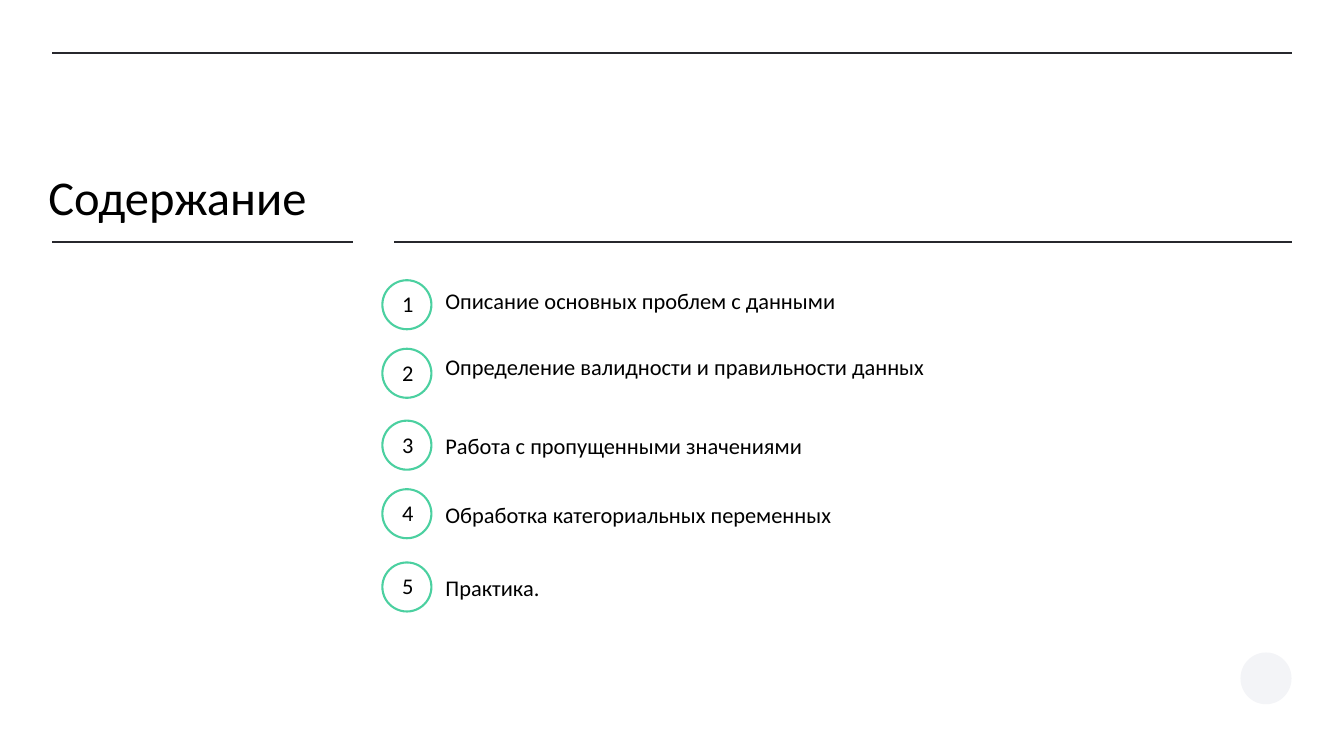
from dataclasses import dataclass

from lxml import etree
from pptx import Presentation
from pptx.dml.color import RGBColor
from pptx.enum.shapes import MSO_CONNECTOR, MSO_SHAPE
from pptx.enum.text import MSO_ANCHOR, PP_ALIGN
from pptx.oxml.ns import qn
from pptx.slide import Slide
from pptx.util import Inches, Pt

STRAIGHT = MSO_CONNECTOR.STRAIGHT
OVAL = MSO_SHAPE.OVAL
TOP, BOTTOM = MSO_ANCHOR.TOP, MSO_ANCHOR.BOTTOM
LEFT, CENTER = PP_ALIGN.LEFT, PP_ALIGN.CENTER

BLACK = RGBColor(0x00, 0x00, 0x00)
RULE = RGBColor(0x27, 0x28, 0x2D)
GREEN = RGBColor(0x4B, 0xD0, 0xA0)
PALE = RGBColor(0xF3, 0xF4, 0xF7)

FONT = "Calibri"
WIDTH, HEIGHT = Inches(20), Inches(11.25)
COL, ROW = WIDTH / 200, HEIGHT / 112.5
MARGIN_LEFT, MARGIN_RIGHT = 7.8, 192.2
RING_LEFT, RING_SIZE = 56.9, 7.3
ITEM_LEFT, ITEM_WIDTH = 65.3, 86.9


@dataclass(frozen=True)
class Box:
    col: float
    row: float
    cols: float
    rows: float

    def emu(self) -> tuple[int, int, int, int]:
        return (round(self.col * COL), round(self.row * ROW),
                round(self.cols * COL), round(self.rows * ROW))


@dataclass(frozen=True)
class Rule:
    start: float
    end: float
    row: float


@dataclass(frozen=True)
class Item:
    text: str
    ring_row: float
    text_row: float
    text_rows: float


RULES = [
    Rule(MARGIN_LEFT, MARGIN_RIGHT, 7.9),
    Rule(MARGIN_LEFT, 52.5, 36),
    Rule(58.7, MARGIN_RIGHT, 36),
]
ITEMS = [
    Item("Описание основных проблем с данными", 41.7, 41.7, 7.3),
    Item("Определение валидности и правильности данных", 51.9, 51.6, 7.3),
    Item("Работа с пропущенными значениями", 62.6, 63.3, 5.8),
    Item("Обработка категориальных переменных", 72.8, 73.5, 5.8),
    Item("Практика.", 83.7, 84.5, 5.8),
]


def add_rule(s: Slide, rule: Rule) -> None:
    y = round(rule.row * ROW)
    line = s.shapes.add_connector(
        STRAIGHT, round(rule.start * COL), y, round(rule.end * COL), y)
    line.line.color.rgb = RULE
    line.line.width = Pt(1.5)
    etree.SubElement(line._element.spPr, qn("a:effectLst"))


def add_text(s: Slide, box: Box, text: str, size: float = 24,
             align: PP_ALIGN = LEFT, anchor: MSO_ANCHOR = TOP,
             spacing: float = 1.0) -> None:
    tf = s.shapes.add_textbox(*box.emu()).text_frame
    tf.word_wrap = True
    tf.vertical_anchor = anchor
    tf.margin_left = tf.margin_right = Inches(0.1)
    tf.margin_top = tf.margin_bottom = Inches(0.1)
    p = tf.paragraphs[0]
    p.alignment = align
    p.line_spacing = spacing
    r = p.add_run()
    r.text = text
    r.font.name = FONT
    r.font.size = Pt(size)
    r.font.color.rgb = BLACK


def add_ring(s: Slide, row: float) -> None:
    sp = s.shapes.add_shape(OVAL, *Box(RING_LEFT, row, RING_SIZE, RING_SIZE).emu())
    sp.shadow.inherit = False
    sp.fill.background()
    sp.line.color.rgb = GREEN
    sp.line.width = Pt(2.25)


def add_corner_disc(s: Slide, box: Box) -> None:
    sp = s.shapes.add_shape(OVAL, *box.emu())
    sp.shadow.inherit = False
    sp.fill.solid()
    sp.fill.fore_color.rgb = PALE
    sp.line.fill.background()


def add_item(s: Slide, number: int, item: Item) -> None:
    add_ring(s, item.ring_row)
    add_text(s, Box(RING_LEFT + 1, item.ring_row + 0.5, 5.6, 5.7),
             str(number), align=CENTER)
    add_text(s, Box(ITEM_LEFT, item.text_row, ITEM_WIDTH, item.text_rows), item.text)


def main() -> None:
    prs = Presentation()
    prs.slide_width, prs.slide_height = WIDTH, HEIGHT
    s = prs.slides.add_slide(prs.slide_layouts[6])
    add_corner_disc(s, Box(184.6, 97.1, 7.6, 7.7))
    for rule in RULES:
        add_rule(s, rule)
    add_text(s, Box(6.2, 25, 50.6, 9.4), "Содержание",
             size=52, anchor=BOTTOM, spacing=0.8)
    for number, item in enumerate(ITEMS, start=1):
        add_item(s, number, item)
    prs.save("out.pptx")


if __name__ == "__main__":
    main()
